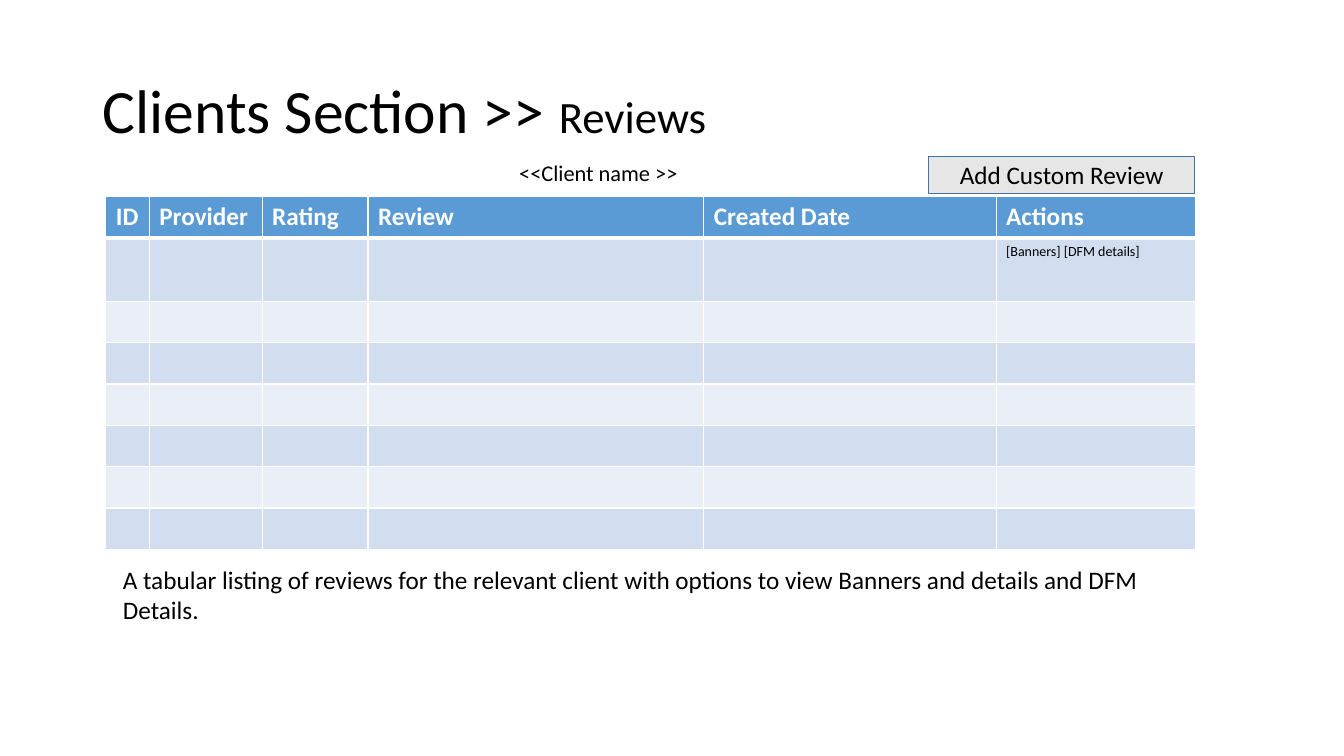
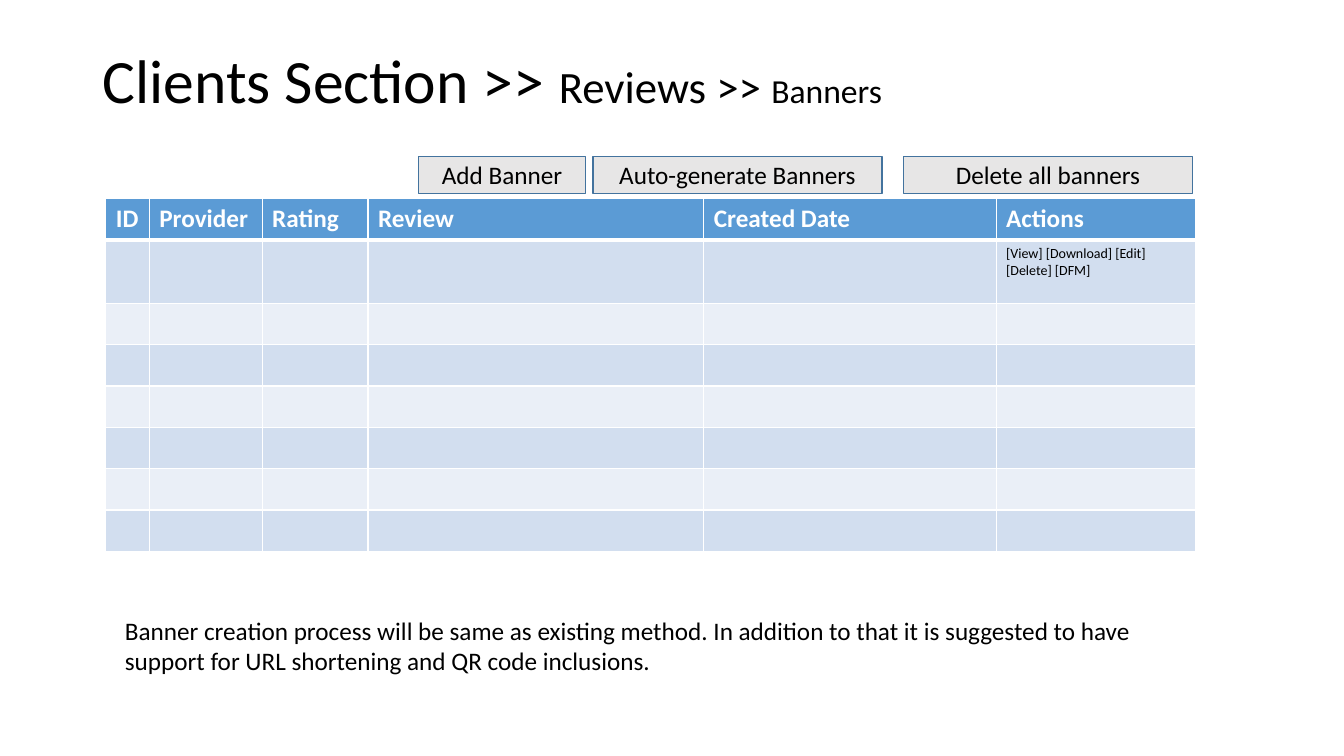
from lxml import etree
from pptx import Presentation
from pptx.dml.color import RGBColor
from pptx.enum.shapes import MSO_SHAPE
from pptx.enum.text import MSO_ANCHOR, PP_ALIGN
from pptx.oxml.ns import qn
from pptx.util import Inches, Pt

RECT = MSO_SHAPE.RECTANGLE
MID, TOP = MSO_ANCHOR.MIDDLE, MSO_ANCHOR.TOP
LEFT, CENTER = PP_ALIGN.LEFT, PP_ALIGN.CENTER

INK = {
    "text": "000000", "white": "FFFFFF", "head": "5B9BD5",
    "odd": "D2DEEF", "even": "EAEFF7", "button": "E7E6E6", "edge": "43739E",
}
FACE = "Calibri"
WIDE, HIGH = 13.33, 7.5
SIZES = (44, 32, 24)
HEADS = ("ID", "Provider", "Rating", "Review", "Created Date", "Actions")
COLS = (0.43, 1.12, 1.05, 3.33, 2.9, 1.98)
ROWS = (0.41, 0.63) + (0.41,) * 6
EDGE = 1.05
BAR = (1.55, 0.37)

PAGES = [
    {
        "title": ("Clients Section >> ", "Reviews"),
        "top": 0.4,
        "grid": 1.95,
        "acts": "[Banners] [DFM details]",
        "label": "<<Client name >>",
        "buttons": [("Add Custom Review", 9.21, 2.64)],
        "note": "A tabular listing of reviews for the relevant client with "
                "options to view Banners and details and DFM Details.",
        "spot": (1.12, 5.55),
    },
    {
        "title": ("Clients Section >> ", "Reviews >> ", "Banners"),
        "top": 0.1,
        "grid": 1.97,
        "acts": "[View] [Download] [Edit] [Delete] [DFM]",
        "label": None,
        "buttons": [
            ("Add Banner", 4.15, 1.66),
            ("Auto-generate Banners", 5.88, 2.87),
            ("Delete all banners", 8.96, 2.87),
        ],
        "note": "Banner creation process will be same as existing method. "
                "In addition to that it is suggested to have support for "
                "URL shortening and QR code inclusions.",
        "spot": (1.14, 6.05),
    },
]


def tint(name):
    return RGBColor.from_string(INK[name])


def paint(fill, name):
    fill.solid()
    fill.fore_color.rgb = tint(name)


def write(frame, runs, align=LEFT, anchor=TOP, ink="text", bold=False, lead=None):
    for key, val in {"word_wrap": True, "vertical_anchor": anchor}.items():
        setattr(frame, key, val)
    para = frame.paragraphs[0]
    for key, val in {"alignment": align, "line_spacing": lead}.items():
        setattr(para, key, val)
    for text, size in runs:
        run = para.add_run()
        run.text = text
        for key, val in {"name": FACE, "size": Pt(size), "bold": bold}.items():
            setattr(run.font, key, val)
        run.font.color.rgb = tint(ink)


def add_text(slide, box, runs, **style):
    shape = slide.shapes.add_textbox(*map(Inches, box))
    write(shape.text_frame, runs, **style)


def add_button(slide, text, left, width):
    top, height = BAR
    shape = slide.shapes.add_shape(RECT, *map(Inches, (left, top, width, height)))
    shape.shadow.inherit = False
    paint(shape.fill, "button")
    shape.line.color.rgb = tint("edge")
    shape.line.width = Pt(1)
    write(shape.text_frame, [(text, 18)], align=CENTER, anchor=MID)


def add_rules(cell, row):
    props = cell._tc.get_or_add_tcPr()
    widths = {"L": 1, "R": 1, "T": 3 if row == 1 else 1, "B": 3 if row == 0 else 1}
    for side, width in widths.items():
        line = etree.SubElement(props, qn("a:ln" + side), w=str(Pt(width)))
        fill = etree.SubElement(line, qn("a:solidFill"))
        etree.SubElement(fill, qn("a:srgbClr"), val=INK["white"])


def add_grid(slide, top, acts):
    box = (EDGE, top, sum(COLS), sum(ROWS))
    table = slide.shapes.add_table(len(ROWS), len(COLS), *map(Inches, box)).table
    for col, width in zip(table.columns, COLS):
        col.width = Inches(width)
    for row, height in enumerate(ROWS):
        table.rows[row].height = Inches(height)
        name = "head" if row == 0 else ("even", "odd")[row % 2]
        for cell in table.rows[row].cells:
            add_rules(cell, row)
            paint(cell.fill, name)
    for col, text in enumerate(HEADS):
        write(table.cell(0, col).text_frame, [(text, 18)], ink="white", bold=True)
    write(table.cell(1, len(COLS) - 1).text_frame, [(acts, 10)])


def add_page(deck, page):
    slide = deck.slides.add_slide(deck.slide_layouts[6])
    add_text(slide, (0.92, page["top"], 11.5, 1.45),
             zip(page["title"], SIZES), anchor=MID, lead=0.9)
    add_text(slide, (*page["spot"], 10.69, 0.71), [(page["note"], 18)])
    add_grid(slide, page["grid"], page["acts"])
    if page["label"]:
        add_text(slide, (4.12, 1.53, 3.63, 0.37), [(page["label"], 16)], align=CENTER)
    for button in page["buttons"]:
        add_button(slide, *button)


def main():
    deck = Presentation()
    deck.slide_width, deck.slide_height = Inches(WIDE), Inches(HIGH)
    for page in PAGES:
        add_page(deck, page)
    deck.save("out.pptx")


if __name__ == "__main__":
    main()
